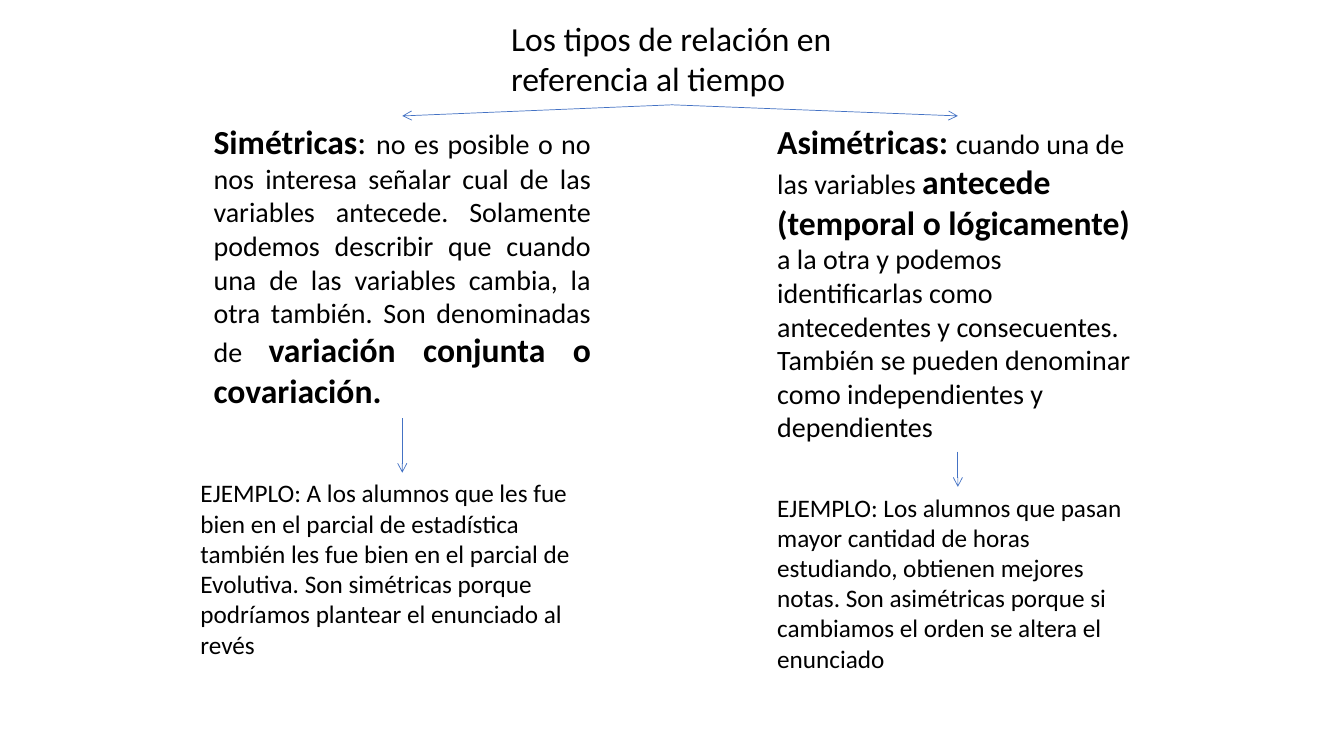
from lxml import etree
from pptx import Presentation
from pptx.dml.color import RGBColor
from pptx.enum import shapes, text
from pptx.oxml import ns
from pptx.util import Inches, Pt

BLACK = RGBColor(0x00, 0x00, 0x00)
BLUE = RGBColor(0x44, 0x72, 0xC4)
TOP, BOTTOM = 0, 2


def add_run(paragraph, content, size=20, bold=False, color=BLACK):
    run = paragraph.add_run()
    run.text = content
    run.font.name = "Calibri"
    run.font.size = Pt(size)
    run.font.bold = bold
    run.font.color.rgb = color


def add_text(slide, box, runs, align=text.PP_ALIGN.LEFT):
    shape = slide.shapes.add_textbox(*[Inches(length) for length in box])
    frame = shape.text_frame
    frame.word_wrap = True
    frame.auto_size = text.MSO_AUTO_SIZE.SHAPE_TO_FIT_TEXT
    paragraph = frame.paragraphs[0]
    paragraph.alignment = align
    for content, text_format in runs:
        add_run(paragraph, content, **text_format)
    return shape


def add_arrow(slide, upper, lower):
    connector = slide.shapes.add_connector(shapes.MSO_CONNECTOR.STRAIGHT, 0, 0, 0, 0)
    connector.begin_connect(upper, BOTTOM)
    connector.end_connect(lower, TOP)
    connector.line.color.rgb = BLUE
    connector.line.width = Pt(0.5)
    etree.SubElement(connector.line._get_or_add_ln(), ns.qn("a:tailEnd"), type="arrow")
    etree.SubElement(connector._element.spPr, ns.qn("a:effectLst"))


def add_branch(slide, title, definition, example):
    add_arrow(slide, title, definition)
    add_arrow(slide, definition, example)


def main():
    presentation = Presentation()
    presentation.slide_width = Inches(13.33)
    presentation.slide_height = Inches(7.5)
    slide = presentation.slides.add_slide(presentation.slide_layouts[6])

    heading = {"size": 24}
    strong = {"size": 24, "bold": True}
    body = {"size": 20}
    small = {"size": 18}

    title = add_text(slide, (4.97, 0.13, 3.39, 0.91), [
        ("Los tipos de relación en referencia al tiempo", heading),
    ])
    symmetric = add_text(slide, (2.02, 1.15, 3.94, 3), [
        ("Simétricas", strong),
        (": ", heading),
        ("no es posible o no nos interesa señalar cual de las variables antecede. "
         "Solamente podemos describir que cuando una de las variables cambia, "
         "la otra también. Son denominadas de ", body),
        ("variación conjunta o covariación. ", strong),
    ], align=text.PP_ALIGN.JUSTIFY)
    symmetric_example = add_text(slide, (1.89, 4.69, 4.2, 1.92), [
        ("EJEMPLO: A los alumnos que les fue bien en el parcial de estadística "
         "también les fue bien en el parcial de Evolutiva. Son simétricas porque "
         "podríamos plantear el enunciado al revés", small),
    ])
    asymmetric = add_text(slide, (7.61, 1.15, 3.78, 3.33), [
        ("Asimétricas: ", strong),
        ("cuando una de las variables ", body),
        ("antecede (temporal o lógicamente) ", strong),
        ("a la otra y podemos identificarlas como antecedentes y consecuentes. "
         "También se pueden denominar como independientes y dependientes", body),
    ])
    asymmetric_example = add_text(slide, (7.61, 4.83, 3.78, 1.92), [
        ("EJEMPLO: Los alumnos que pasan mayor cantidad de horas estudiando, "
         "obtienen mejores notas. Son asimétricas porque si cambiamos el orden "
         "se altera el enunciado", small),
    ])

    add_branch(slide, title, symmetric, symmetric_example)
    add_branch(slide, title, asymmetric, asymmetric_example)
    presentation.save("out.pptx")


if __name__ == "__main__":
    main()
